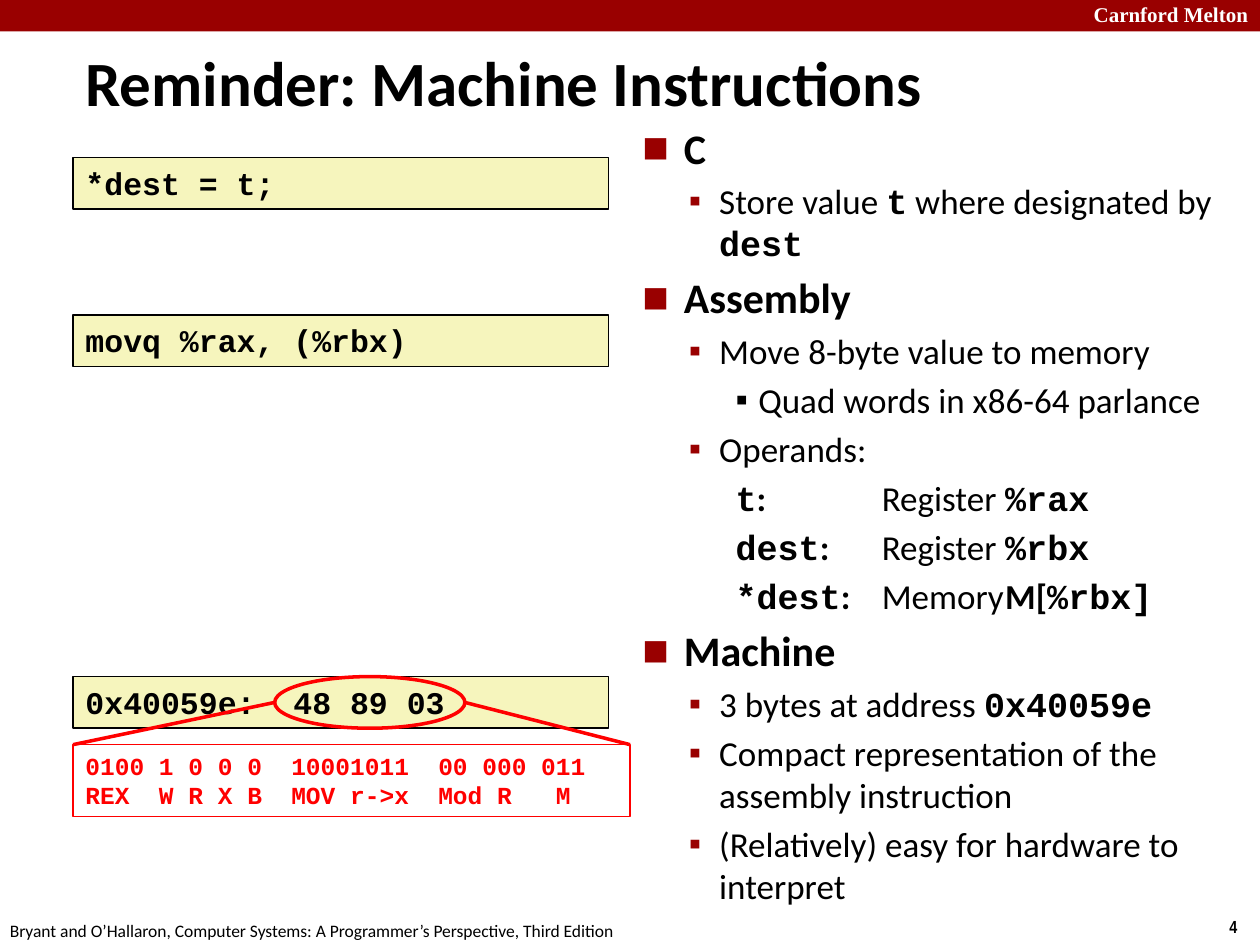
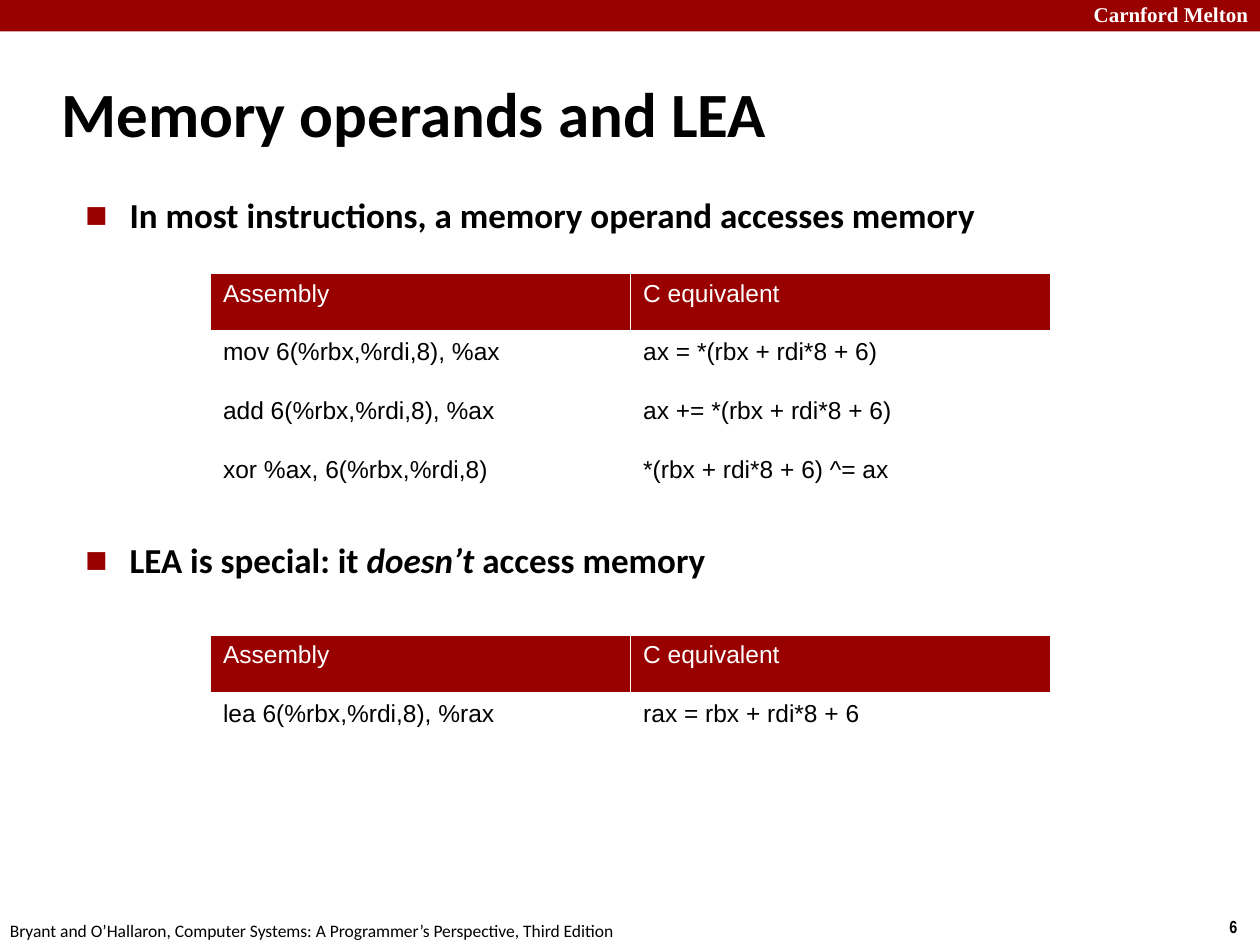
"""Build two lecture slides on machine instructions and memory operands."""
from lxml import etree
from pptx import Presentation
from pptx import util as u
from pptx.dml.color import RGBColor
from pptx.enum import shapes, text as t
from pptx.oxml.ns import qn

COLORS = {
    "brand": "990000", "ink": "000000", "paper": "FFFFFF",
    "code": "F6F5BD", "mark": "FF0000",
}
COLUMNS, ROWS = 100, 75
PLAIN = {"bold": False}
BOLD = {"bold": True}
CODE = {"bold": True, "font": "Courier New"}
MONO_PITCH = 0.6


def color(name):
    return RGBColor.from_string(COLORS[name])


def write(para, text, font="Calibri", size=20, ink="ink", bold=False, italic=False):
    span = para.add_run()
    span.text = text
    span.font.name = font
    span.font.size = u.Pt(size)
    span.font.color.rgb = color(ink)
    span.font.bold = bold
    span.font.italic = italic


def add_node(parent, tag, **attributes):
    node = etree.SubElement(parent, qn(tag))
    for key, value in attributes.items():
        node.set(key, str(value))
    return node


def add_tabs(para, stops):
    tabs = add_node(para._p.get_or_add_pPr(), "a:tabLst")
    for stop in stops:
        add_node(tabs, "a:tab", pos=u.Inches(stop), algn="l")


def add_bullet(para, symbol, ink, percent):
    properties = para._p.get_or_add_pPr()
    add_node(add_node(properties, "a:buClr"), "a:srgbClr", val=COLORS[ink])
    add_node(properties, "a:buSzPct", val=percent * 1000)
    add_node(properties, "a:buFont", typeface="Arial")
    add_node(properties, "a:buChar", char=symbol)


def set_indent(para, left, hanging, tab_size):
    properties = para._p.get_or_add_pPr()
    properties.set("marL", str(u.Inches(left)))
    properties.set("indent", str(-u.Inches(hanging)))
    properties.set("defTabSz", str(u.Inches(tab_size)))


class SlideBuilder:
    """Hold the deck style and the current slide, and draw elements on a grid."""

    TAB_SIZE = 0.98
    LEVELS = {
        "topic": (0, 0.33, 0.33, 4.8, ("■", "brand", 105)),
        "point": (1, 0.61, 0.24, 4, ("▪", "brand", 100)),
        "detail": (2, 0.92, 0.18, 4, ("▪", "ink", 100)),
        "operand": (2, 0.92, 0.18, 4, None),
    }

    def __init__(self):
        self.deck = Presentation()
        self.deck.slide_width = u.Inches(10)
        self.deck.slide_height = u.Inches(7.5)
        self.slide = None

    def x(self, column):
        return u.Emu(round(self.deck.slide_width * column / COLUMNS))

    def y(self, row):
        return u.Emu(round(self.deck.slide_height * row / ROWS))

    def area(self, column, row, columns, rows):
        return self.x(column), self.y(row), self.x(columns), self.y(rows)

    def start(self, number, title, title_area):
        self.slide = self.deck.slides.add_slide(self.deck.slide_layouts[6])
        self.shape((0, 0, COLUMNS, 2.5), fill="brand")
        self.label((96.6, 72.2, 3.4, 2.7), str(number), font="Arial Narrow", size=10, bold=True)
        self.label((-0.2, 72.5, 50.8, 2.7),
                   "Bryant and O’Hallaron, Computer Systems: A Programmer’s Perspective, Third Edition",
                   size=10)
        self.label((86.4, -0.3, 14.4, 2.8), "Carnford Melton", inset=0.04,
                   font="Times New Roman", size=12, ink="paper", bold=True)
        self.label(title_area, title, anchor=t.MSO_ANCHOR.MIDDLE, size=36, bold=True)

    def text_box(self, area, inset=None):
        frame = self.slide.shapes.add_textbox(*self.area(*area)).text_frame
        frame.word_wrap = True
        if inset is not None:
            frame.margin_left = frame.margin_right = u.Inches(inset)
            frame.margin_top = frame.margin_bottom = u.Inches(inset)
        return frame

    def label(self, area, text, inset=None, anchor=t.MSO_ANCHOR.TOP, **style):
        frame = self.text_box(area, inset)
        frame.vertical_anchor = anchor
        write(frame.paragraphs[0], text, **style)

    def shape(self, area, kind=shapes.MSO_SHAPE.RECTANGLE, fill=None, line=None, width=1):
        shape = self.slide.shapes.add_shape(kind, *self.area(*area))
        shape.shadow.inherit = False
        if fill:
            shape.fill.solid()
            shape.fill.fore_color.rgb = color(fill)
        else:
            shape.fill.background()
        if line:
            shape.line.color.rgb = color(line)
            shape.line.width = u.Pt(width)
        else:
            shape.line.fill.background()
        return shape

    def code_box(self, area, lines, fill="code", ink="ink", width=1, size=18, tab_columns=()):
        frame = self.shape(area, fill=fill, line=ink, width=width).text_frame
        frame.word_wrap = True
        frame.vertical_anchor = t.MSO_ANCHOR.TOP
        for index, line in enumerate(lines):
            para = frame.add_paragraph() if index else frame.paragraphs[0]
            para.alignment = t.PP_ALIGN.LEFT
            if tab_columns:
                add_tabs(para, [column * size * MONO_PITCH / 72 for column in tab_columns])
            write(para, line, size=size, ink=ink, **CODE)

    def connector(self, start, end):
        line = self.slide.shapes.add_connector(
            shapes.MSO_CONNECTOR.STRAIGHT,
            self.x(start[0]), self.y(start[1]), self.x(end[0]), self.y(end[1]))
        line.line.color.rgb = color("mark")
        line.line.width = u.Pt(2)
        add_node(line._element.spPr, "a:effectLst")

    def outline(self, area, items, tabs=(), indent=None):
        frame = self.text_box(area)
        for index, (kind, spans, *gap) in enumerate(items):
            para = frame.add_paragraph() if index else frame.paragraphs[0]
            level, left, hanging, before, bullet = self.LEVELS[kind]
            para.level = level
            para.space_before = u.Pt(gap[0] if gap else before)
            set_indent(para, *(indent or (left, hanging)), self.TAB_SIZE)
            if bullet:
                add_bullet(para, *bullet)
            if tabs:
                add_tabs(para, tabs)
            for text, style in spans:
                write(para, text, **style)

    def table(self, column, row, records):
        width, height = 66.7, 4.68
        grid = self.slide.shapes.add_table(
            len(records), 2, *self.area(column, row, width, height * len(records))).table
        grid.horz_banding = False
        for row_index, record in enumerate(records):
            header = row_index == 0
            for column_index, text in enumerate(record):
                cell = grid.cell(row_index, column_index)
                self.borders(cell, above=3 if row_index == 1 else 1, below=3 if header else 1)
                cell.fill.solid()
                cell.fill.fore_color.rgb = color("brand" if header else "paper")
                write(cell.text_frame.paragraphs[0], text, font="Arial", size=14,
                      ink="paper" if header else "ink")

    def borders(self, cell, above, below):
        properties = cell._tc.get_or_add_tcPr()
        for side, width in (("L", 1), ("R", 1), ("T", above), ("B", below)):
            line = add_node(properties, f"a:ln{side}", w=u.Pt(width))
            add_node(add_node(line, "a:solidFill"), "a:srgbClr", val=COLORS["paper"])


def build_instructions(builder):
    builder.start(4, "Reminder: Machine Instructions", (5.8, 3.3, 79.4, 6.3))
    topic = {"size": 24, "bold": True}
    builder.outline((50, 9.2, 50, 63.3), [
        ("topic", [("C", topic)]),
        ("point", [("Store value ", PLAIN), ("t", CODE),
                   (" where designated by ", PLAIN), ("dest", CODE)]),
        ("topic", [("Assembly", topic)]),
        ("point", [("Move 8-byte value to memory", PLAIN)]),
        ("detail", [("Quad words in x86-64 parlance", PLAIN)]),
        ("point", [("Operands:", PLAIN)]),
        ("operand", [("t", CODE), (":\t", BOLD), ("Register\t", PLAIN), ("%rax", CODE)]),
        ("operand", [("dest", CODE), (":", BOLD), ("\tRegister\t", PLAIN), ("%rbx", CODE)]),
        ("operand", [("*dest", CODE), (":", BOLD), (" \tMemory\t", PLAIN),
                     ("M[", BOLD), ("%rbx]", CODE)]),
        ("topic", [("Machine", topic)]),
        ("point", [("3 bytes at address ", PLAIN), ("0x40059e", CODE)]),
        ("point", [("Compact representation of the assembly instruction", PLAIN)]),
        ("point", [("(Relatively) easy for hardware to interpret", PLAIN)]),
    ], tabs=(1.75, 2.75))

    left, height, machine_row = 5.8, 4.1, 53.7
    for row, code in ((12.5, "*dest = t;"), (25, "movq %rax, (%rbx)"),
                      (machine_row, "0x40059e:\t48 89 03")):
        builder.code_box((left, row, 42.5, height), [code], tab_columns=(11,))

    bits_row, bits_width = 59.1, 44.2
    builder.code_box((left, bits_row, bits_width, 5.7),
                     ["0100\t1 0 0 0\t10001011\t00 000 011",
                      "REX\tW R X B\tMOV r->x\tMod R\tM"],
                     fill=None, ink="mark", width=0.75, size=14, tab_columns=(5, 14, 24, 32))

    bytes_left, bytes_width = 21.8, 15.1
    builder.shape((bytes_left, machine_row, bytes_width, height),
                  kind=shapes.MSO_SHAPE.OVAL, line="mark", width=2)
    middle = machine_row + height / 2
    builder.connector((bytes_left, middle), (left, bits_row))
    builder.connector((bytes_left + bytes_width, middle), (left + bits_width, bits_row))


def build_operands(builder):
    builder.start(6, "Memory operands and LEA", (3.9, 4.8, 83, 8.3))
    builder.outline((4.3, 14.9, 86.4, 54.4), [
        ("topic", [("In most instructions, a memory operand accesses memory", BOLD)]),
        ("topic", [("LEA is special: it ", BOLD), ("doesn’t", {"bold": True, "italic": True}),
                   (" access memory", BOLD)], 173),
    ], indent=(0.5, 0.35))
    header = ("Assembly", "C equivalent")
    builder.table(16.7, 21.7, [
        header,
        ("mov 6(%rbx,%rdi,8), %ax", "ax = *(rbx + rdi*8 + 6)"),
        ("add 6(%rbx,%rdi,8), %ax", "ax += *(rbx + rdi*8 + 6)"),
        ("xor %ax, 6(%rbx,%rdi,8)", "*(rbx + rdi*8 + 6) ^= ax"),
    ])
    builder.table(16.7, 50.4, [
        header,
        ("lea 6(%rbx,%rdi,8), %rax", "rax = rbx + rdi*8 + 6"),
    ])


def main():
    builder = SlideBuilder()
    build_instructions(builder)
    build_operands(builder)
    builder.deck.save("out.pptx")


if __name__ == "__main__":
    main()
